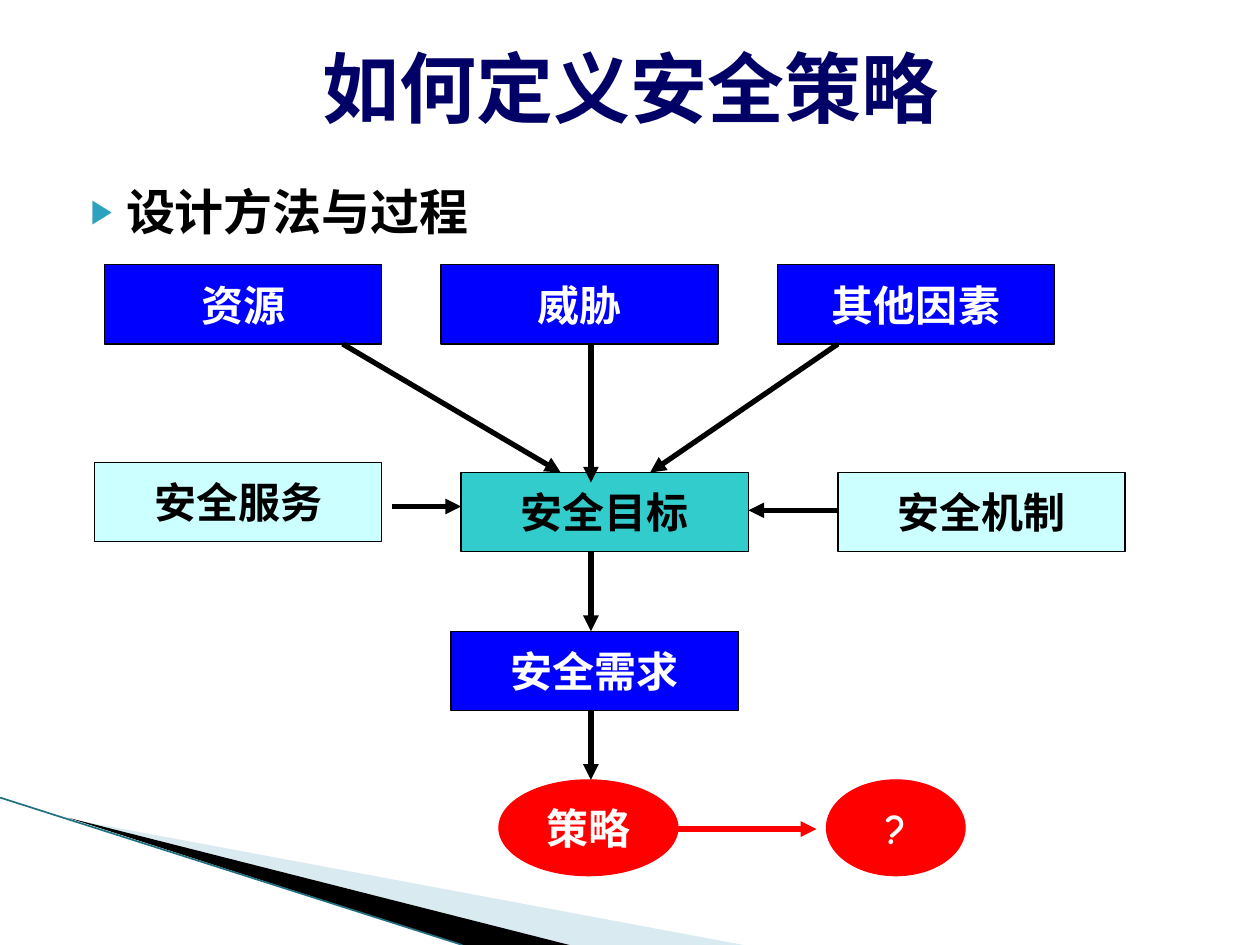
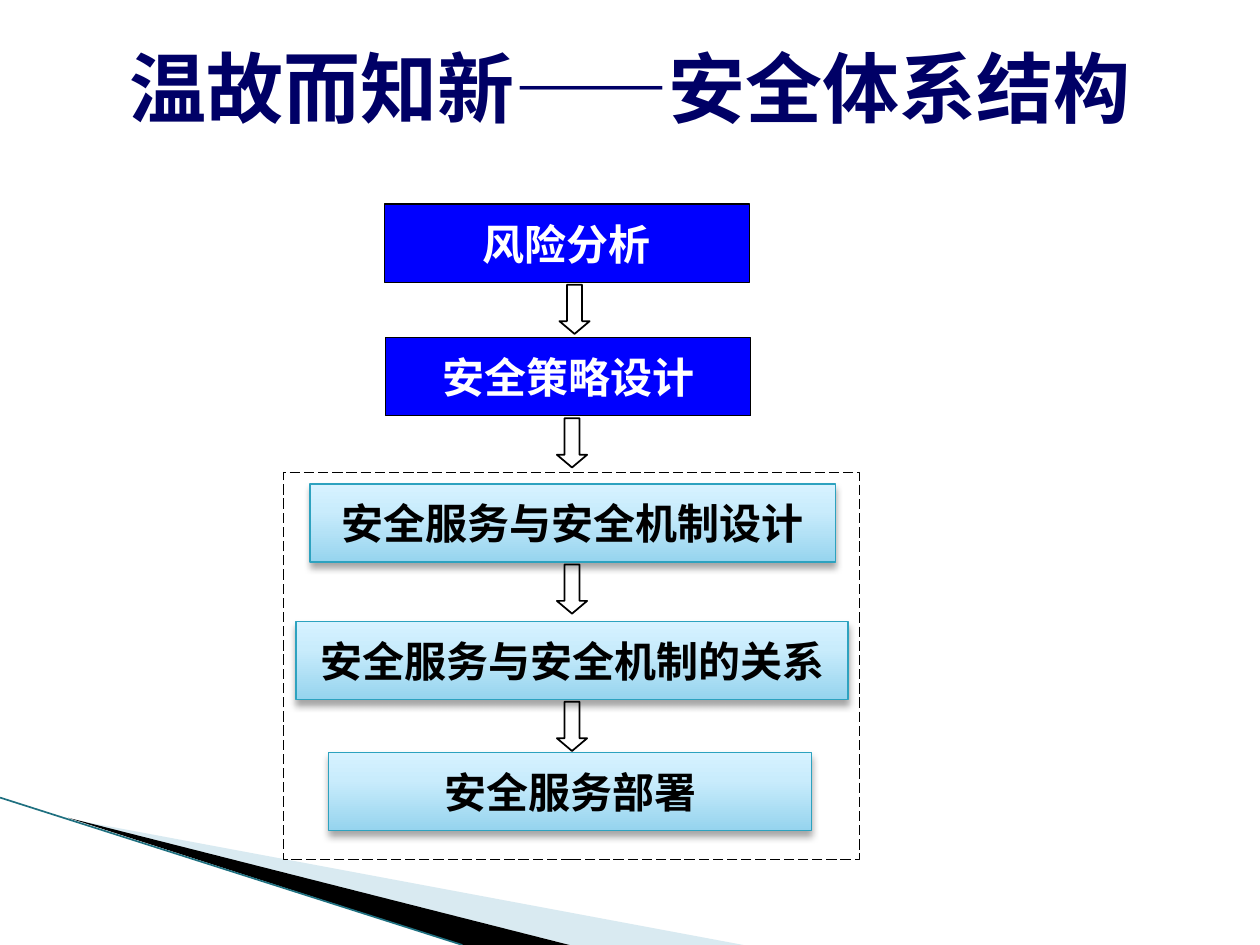
from lxml import etree
from pptx import Presentation
from pptx.dml.color import RGBColor
from pptx.enum.dml import MSO_LINE
from pptx.enum.shapes import MSO_CONNECTOR, MSO_SHAPE
from pptx.enum.text import MSO_ANCHOR, PP_ALIGN
from pptx.oxml import parse_xml
from pptx.oxml.ns import nsdecls, qn
from pptx.util import Inches, Pt

RECT, OVAL, DOWN = MSO_SHAPE.RECTANGLE, MSO_SHAPE.OVAL, MSO_SHAPE.DOWN_ARROW
STRAIGHT = MSO_CONNECTOR.STRAIGHT
CENTER, MIDDLE = PP_ALIGN.CENTER, MSO_ANCHOR.MIDDLE
LONG_DASH = MSO_LINE.LONG_DASH
LAYOUT_CONTENT, LAYOUT_TITLE_ONLY = 1, 5

# Shared colours
NAVY, BLUE, AQUA, PALE = "000066", "0000FF", "33CCCC", "CCFFFF"
RED, BLACK, WHITE, TEAL = "FF0000", "000000", "FFFFFF", "2DA2BF"
GLOSS = [(0, "96D4EE"), (65, "C9ECFC"), (100, "D7F2FF")]

# Shared corner decoration: points, colour, opacity in percent
WEDGES = [
    ([(0.55, 6.5), (5.9, 7.5), (4.52, 7.5)], "A0CBDC", 40),
    ([(0.54, 6.49), (4.52, 7.5), (3.67, 7.5)], BLACK, 100),
]
CORNER_EDGE = ((0, 6.33), (3.67, 7.5))

# Slide 1: how a policy is defined
POLICY_TITLE = "如何定义安全策略"
POLICY_TOPIC = "设计方法与过程"
INPUTS = ["资源", "威胁", "其他因素"]
INPUT_LEFT, INPUT_TOP, INPUT_STEP = 0.83, 2.1, 2.67
INPUT_WIDTH, NODE_WIDTH, NODE_HEIGHT = 2.2, 2.28, 0.63
NODES = [  # text, left, top, fill, text colour
    ("安全目标", 3.66, 3.75, AQUA, BLACK),
    ("安全需求", 3.58, 5.01, BLUE, WHITE),
    ("安全服务", 0.75, 3.67, PALE, BLACK),
    ("安全机制", 6.65, 3.75, PALE, BLACK),
]
RESULTS = [("策略", 3.96, 1.42), ("?", 6.56, 1.1)]  # text, left, width
RESULT_TOP, RESULT_HEIGHT = 6.19, 0.76
FLOWS = [  # from, to, colour
    ((2.72, 2.73), (4.45, 3.75), BLACK),
    ((6.65, 2.73), (5.16, 3.75), BLACK),
    ((4.69, 2.73), (4.69, 3.83), BLACK),
    ((3.11, 4.02), (3.66, 4.02), BLACK),
    ((6.65, 4.05), (5.94, 4.05), BLACK),
    ((4.69, 4.38), (4.69, 5.01), BLACK),
    ((4.69, 5.64), (4.69, 6.19), BLACK),
    ((5.38, 6.58), (6.48, 6.58), RED),
]

# Slide 2: the security architecture
REVIEW_TITLE = "温故而知新——安全体系结构"
FRAME = (2.25, 3.75, 4.57, 3.07)
STEPS = [  # text, left, top, width, glossy, left of the arrow below
    ("风险分析", 3.05, 1.62, 2.9, False, 4.44),
    ("安全策略设计", 3.06, 2.68, 2.9, False, 4.42),
    ("安全服务与安全机制设计", 2.46, 3.84, 4.17, True, 4.42),
    ("安全服务与安全机制的关系", 2.35, 4.93, 4.38, True, 4.42),
    ("安全服务部署", 2.61, 5.97, 3.83, True, None),
]
STEP_HEIGHT, ARROW_GAP, ARROW_SIZE = 0.62, 0.02, (0.24, 0.39)


def rgb(color):
    return RGBColor.from_string(color)


def format_text(paragraph, color, **values):
    for key, value in values.items():
        setattr(paragraph.font, key, value)
    paragraph.font.color.rgb = rgb(color)


def place(shape, *box):
    for key, value in zip(("left", "top", "width", "height"), box):
        setattr(shape, key, Inches(value))


def add_shape(slide, kind, box, fill=None, line=BLACK, weight=0.75):
    shape = slide.shapes.add_shape(kind, *map(Inches, box))
    shape.shadow.inherit = False
    if fill:
        shape.fill.solid()
        shape.fill.fore_color.rgb = rgb(fill)
    else:
        shape.fill.background()
    shape.line.color.rgb = rgb(line)
    shape.line.width = Pt(weight)
    return shape


def add_node(slide, text, box, fill, color, font, kind=RECT, line=BLACK):
    node = add_shape(slide, kind, box, fill, line)
    frame = node.text_frame
    frame.word_wrap = False
    frame.vertical_anchor = MIDDLE
    paragraph = frame.paragraphs[0]
    paragraph.text = text
    paragraph.alignment = CENTER
    format_text(paragraph, color, name=font, size=Pt(24), bold=True)
    return node


def add_line(slide, start, end, color, weight, head=False):
    line = slide.shapes.add_connector(STRAIGHT, *map(Inches, start + end))
    line.line.color.rgb = rgb(color)
    line.line.width = Pt(weight)
    if head:
        etree.SubElement(line.line._get_or_add_ln(), qn("a:tailEnd"), type="triangle")
    etree.SubElement(line._element.spPr, qn("a:effectLst"))


def add_gloss(shape):
    """Give a shape the vertical gradient and the soft shadow."""
    stops = "".join(
        f'<a:gs pos="{pos * 1000}"><a:srgbClr val="{color}"/></a:gs>' for pos, color in GLOSS
    )
    props = shape._element.spPr
    props.replace(props.find(qn("a:solidFill")), parse_xml(
        f'<a:gradFill {nsdecls("a")} rotWithShape="1"><a:gsLst>{stops}</a:gsLst>'
        '<a:lin ang="16200000" scaled="0"/></a:gradFill>'))
    props.replace(props.find(qn("a:effectLst")), parse_xml(
        f'<a:effectLst {nsdecls("a")}><a:outerShdw blurRad="{Pt(4)}" dist="{Pt(3)}" '
        'dir="5400000" rotWithShape="0"><a:srgbClr val="000000"><a:alpha val="35000"/>'
        '</a:srgbClr></a:outerShdw></a:effectLst>'))


def add_slide(deck, layout, title_text, font):
    slide = deck.slides.add_slide(deck.slide_layouts[layout])
    # Corner decoration
    for points, color, opacity in WEDGES:
        start, *rest = [tuple(map(Inches, point)) for point in points]
        builder = slide.shapes.build_freeform(*start)
        builder.add_line_segments(rest)
        wedge = builder.convert_to_shape()
        wedge.shadow.inherit = False
        wedge.fill.solid()
        wedge.fill.fore_color.rgb = rgb(color)
        wedge.line.fill.background()
        tint = wedge._element.spPr.find(qn("a:solidFill"))[0]
        etree.SubElement(tint, qn("a:alpha"), val=str(opacity * 1000))
    add_line(slide, *CORNER_EDGE, "1F7080", 0.95)
    # Title
    title = slide.shapes.title
    place(title, 0.2, 0.22, 9.61, 0.93)
    title.text_frame.vertical_anchor = MIDDLE
    paragraph = title.text_frame.paragraphs[0]
    paragraph.text = title_text
    paragraph.alignment = CENTER
    format_text(paragraph, NAVY, name=font, size=Pt(44), bold=True)
    return slide


def add_topic(slide, text):
    body = slide.placeholders[1]
    place(body, 0.5, 1.39, 9, 5.18)
    paragraph = body.text_frame.paragraphs[0]
    paragraph.text = text
    paragraph.space_before = Pt(0)
    props = paragraph._p.get_or_add_pPr()
    props.set("marL", str(Inches(0.4)))
    props.set("indent", str(Inches(-0.28)))
    color = etree.SubElement(props, qn("a:buClr"))
    etree.SubElement(color, qn("a:srgbClr"), val=TEAL)
    etree.SubElement(props, qn("a:buSzPct"), val="68000")
    etree.SubElement(props, qn("a:buChar"), char="▶")
    format_text(paragraph, BLACK, name="Courier New", size=Pt(28), bold=True)


def build_policy(deck):
    slide = add_slide(deck, LAYOUT_CONTENT, POLICY_TITLE, "Courier New")
    add_topic(slide, POLICY_TOPIC)
    font = "Comic Neue"
    for i, text in enumerate(INPUTS):
        box = (INPUT_LEFT + i * INPUT_STEP, INPUT_TOP, INPUT_WIDTH, NODE_HEIGHT)
        add_node(slide, text, box, BLUE, WHITE, font)
    for text, left, top, fill, color in NODES:
        add_node(slide, text, (left, top, NODE_WIDTH, NODE_HEIGHT), fill, color, font)
    for text, left, width in RESULTS:
        box = (left, RESULT_TOP, width, RESULT_HEIGHT)
        add_node(slide, text, box, RED, WHITE, font, OVAL, RED)
    for start, end, color in FLOWS:
        add_line(slide, start, end, color, 3, head=True)


def build_review(deck):
    slide = add_slide(deck, LAYOUT_TITLE_ONLY, REVIEW_TITLE, "Times New Roman")
    add_shape(slide, RECT, FRAME, WHITE).line.dash_style = LONG_DASH
    for text, left, top, width, glossy, arrow_left in STEPS:
        box = (left, top, width, STEP_HEIGHT)
        if glossy:
            add_gloss(add_node(slide, text, box, PALE, BLACK, "Courier New", line=TEAL))
        else:
            add_node(slide, text, box, BLUE, WHITE, "Karla")
        if arrow_left:
            arrow_top = top + STEP_HEIGHT + ARROW_GAP
            arrow = add_shape(slide, DOWN, (arrow_left, arrow_top, *ARROW_SIZE), weight=1)
            arrow.adjustments[0], arrow.adjustments[1] = 0.5, 0.42


def main():
    deck = Presentation()
    deck.slide_width, deck.slide_height = Inches(10), Inches(7.5)
    build_policy(deck)
    build_review(deck)
    deck.save("out.pptx")


if __name__ == "__main__":
    main()
